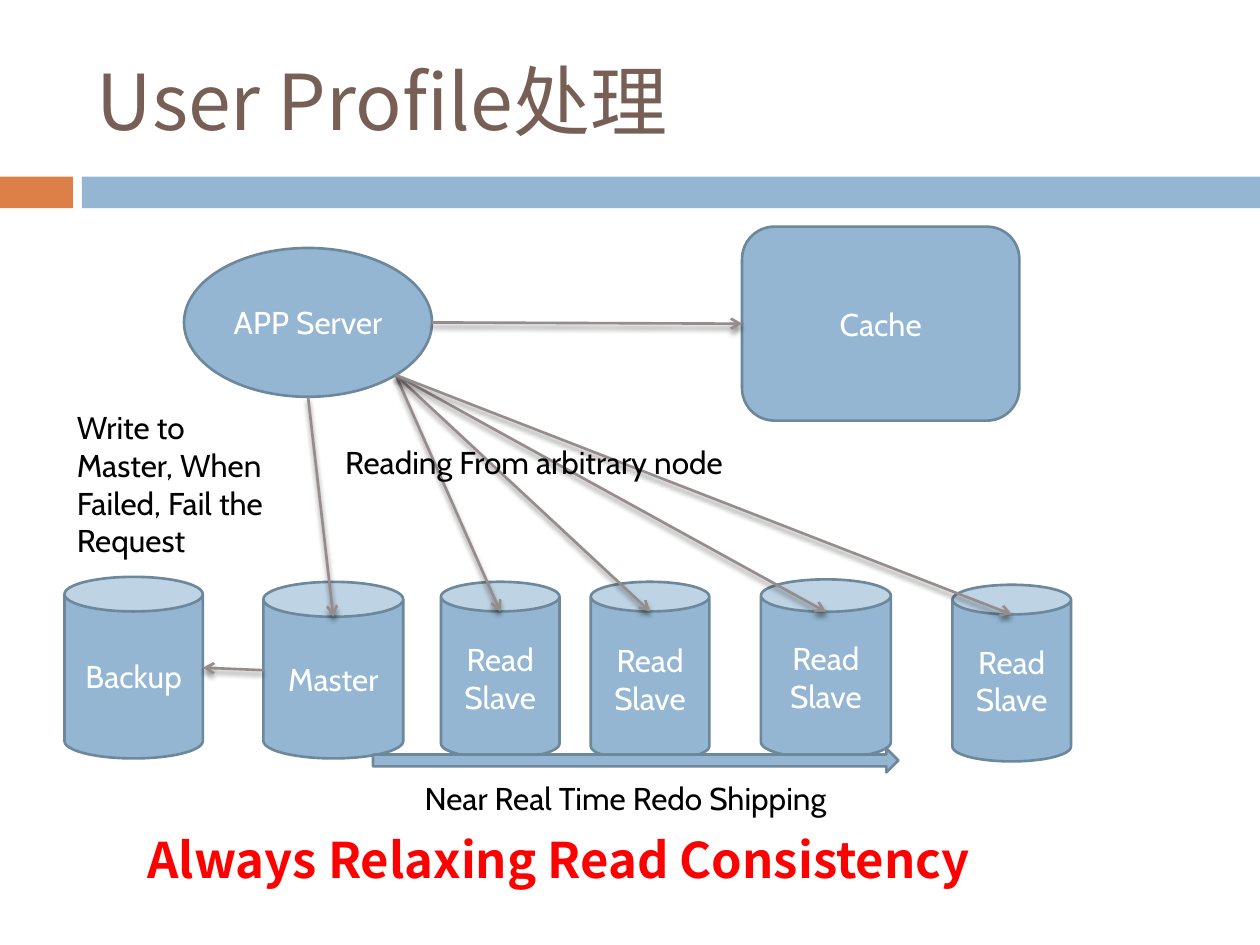
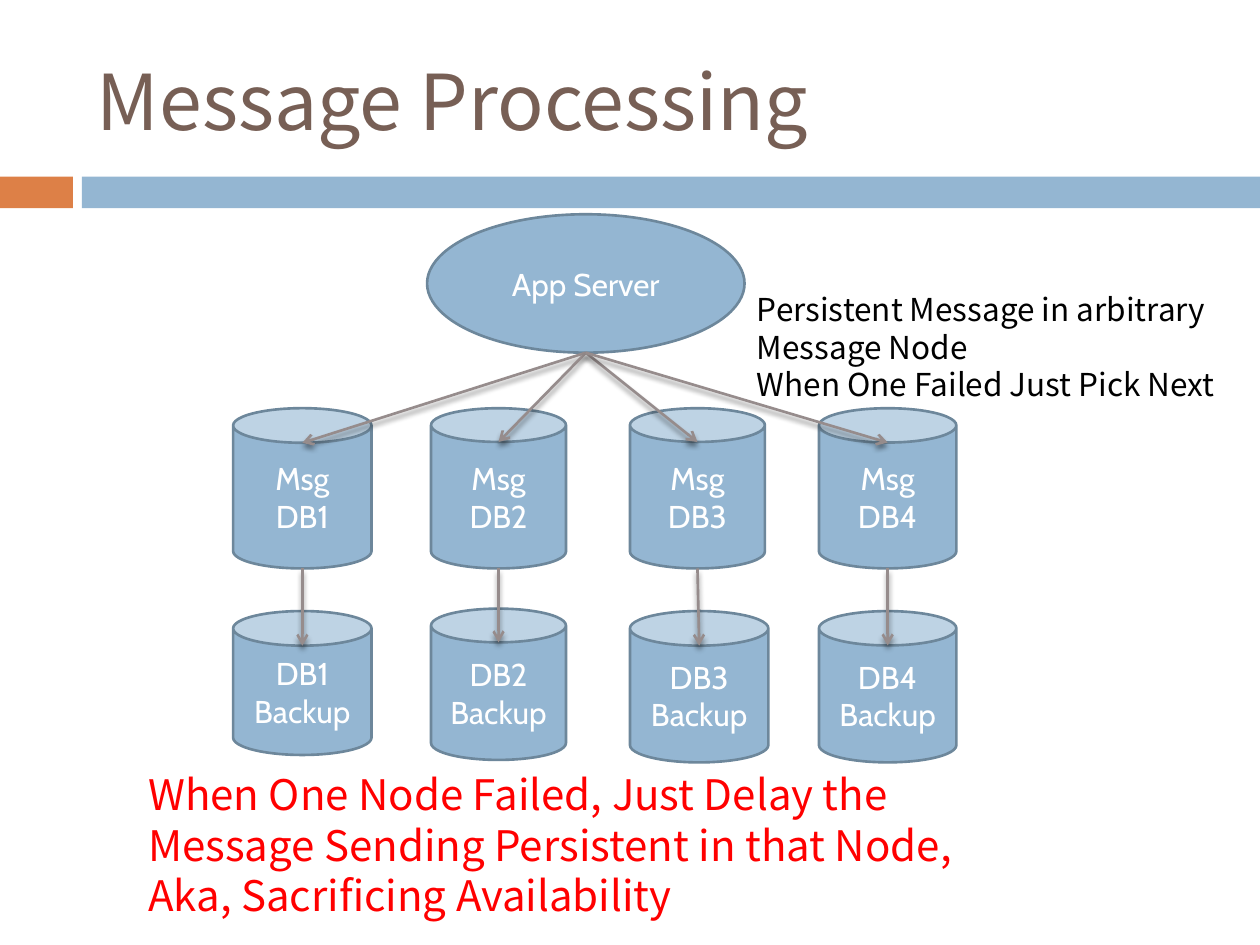
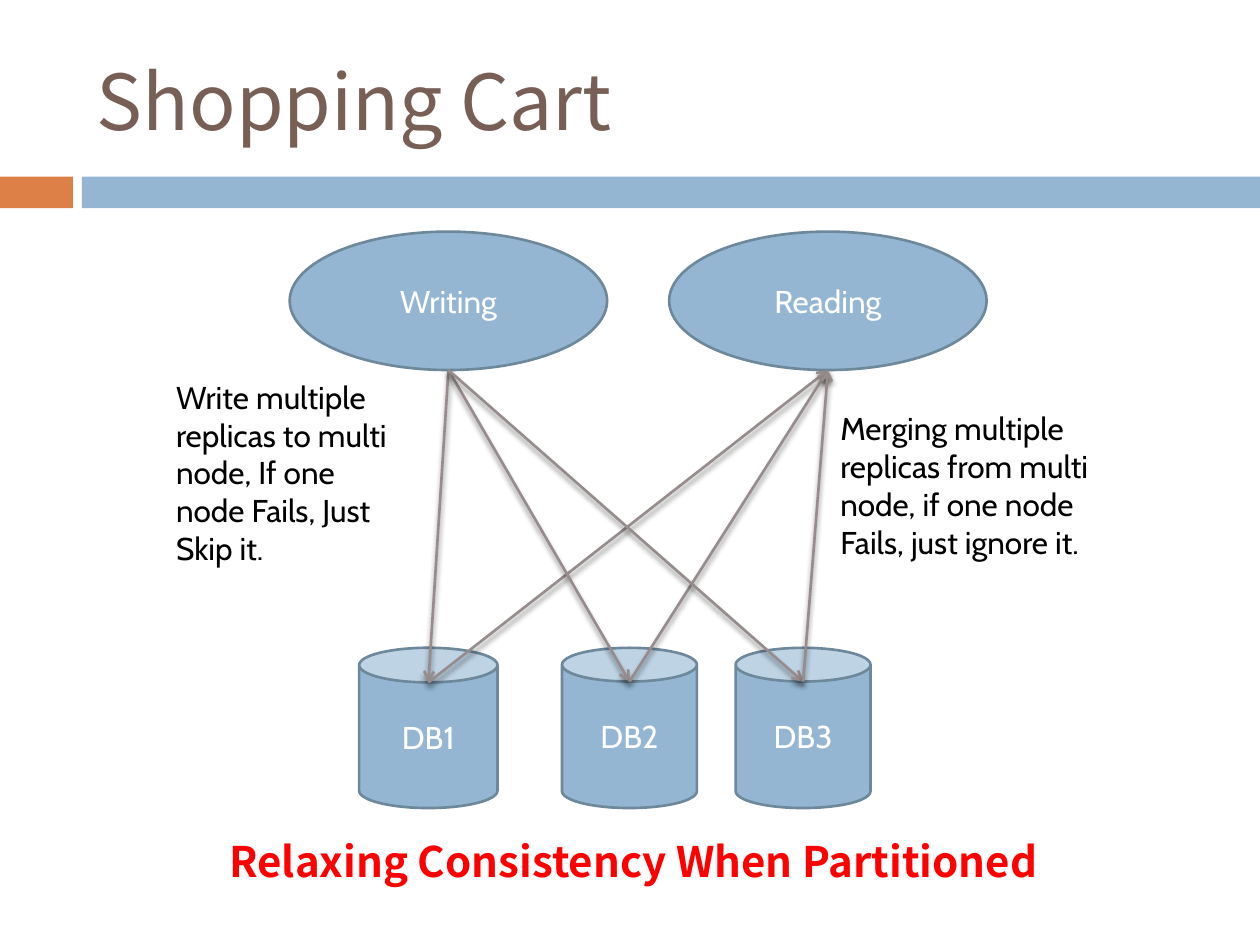
from math import sqrt

from lxml.etree import SubElement
from pptx import Presentation
from pptx.dml.color import RGBColor
from pptx.enum.shapes import MSO_CONNECTOR, MSO_SHAPE
from pptx.enum.text import MSO_ANCHOR, MSO_AUTO_SIZE, PP_ALIGN
from pptx.oxml import parse_xml
from pptx.oxml.ns import nsdecls, qn
from pptx.util import Cm, Pt

COLORS = {
    "title": "775F55",
    "accent": "DD8047",
    "blue": "94B6D2",
    "outline": "6D879B",
    "arrow": "968C8C",
    "white": "FFFFFF",
    "black": "000000",
    "red": "FF0000",
}
LABEL_FONT = "Cabin"
HEADING_FONT = "Noto Sans CJK SC"
TITLE_ONLY, TITLE_AND_CONTENT = 5, 1
SHADOW = (
    f'<a:effectLst {nsdecls("a")}>'
    '<a:outerShdw blurRad="38100" dist="30480" dir="5400000" rotWithShape="0">'
    '<a:srgbClr val="000000"><a:alpha val="45000"/></a:srgbClr>'
    "</a:outerShdw></a:effectLst>"
)


def color(name):
    return RGBColor.from_string(COLORS[name])


# Text
def add_run(paragraph, text, size, font_name, color_name, bold=False):
    run = paragraph.add_run()
    run.text = text
    run.font.size = Pt(size)
    run.font.bold = bold
    run.font.name = font_name
    run.font.color.rgb = color(color_name)
    SubElement(run.font._element, qn("a:ea"), typeface=font_name)


def write_lines(frame, text, size, font_name, color_name, bold=False,
                alignment=PP_ALIGN.LEFT):
    frame.word_wrap = True
    for index, line in enumerate(text.split("\n")):
        paragraph = frame.add_paragraph() if index else frame.paragraphs[0]
        paragraph.alignment = alignment
        add_run(paragraph, line, size, font_name, color_name, bold)


def add_note(slide, text, box, size=18, font_name=LABEL_FONT,
             color_name="black", bold=False):
    note = slide.shapes.add_textbox(*map(Cm, box))
    write_lines(note.text_frame, text, size, font_name, color_name, bold)
    note.text_frame.auto_size = MSO_AUTO_SIZE.SHAPE_TO_FIT_TEXT


def place(placeholder, box):
    placeholder.left, placeholder.top, placeholder.width, placeholder.height = map(Cm, box)
    placeholder.text_frame.auto_size = MSO_AUTO_SIZE.NONE


# Shapes
def add_filled(slide, kind, box, fill="blue"):
    shape = slide.shapes.add_shape(kind, *map(Cm, box))
    shape.shadow.inherit = False
    shape.fill.solid()
    shape.fill.fore_color.rgb = color(fill)
    return shape


def add_node(slide, kind, box, text=""):
    node = add_filled(slide, kind, box)
    node.line.color.rgb = color("outline")
    node.line.width = Pt(1.5)
    if text:
        node.text_frame.vertical_anchor = MSO_ANCHOR.MIDDLE
        write_lines(node.text_frame, text, 18, LABEL_FONT, "white",
                    alignment=PP_ALIGN.CENTER)
    return node


def add_database(slide, box, text):
    return add_node(slide, MSO_SHAPE.CAN, box, text)


def add_ellipse(slide, box, text):
    return add_node(slide, MSO_SHAPE.OVAL, box, text)


# Points where arrows touch a shape
def point(shape, across, down):
    return (int(shape.left + shape.width * across),
            int(shape.top + shape.height * down))


def left(shape):
    return point(shape, 0, 0.5)


def right(shape):
    return point(shape, 1, 0.5)


def bottom(shape):
    return point(shape, 0.5, 1)


def lower_right(ellipse):
    diagonal = (1 + sqrt(0.5)) / 2
    return point(ellipse, diagonal, diagonal)


def lid(database):
    """Front edge of the lid, a quarter of the shorter side below the top."""
    depth = min(database.width, database.height) / 4
    return point(database, 0.5, depth / database.height)


def add_arrow(slide, start, end):
    arrow = slide.shapes.add_connector(MSO_CONNECTOR.STRAIGHT, *start, *end)
    arrow.line.color.rgb = color("arrow")
    arrow.line.width = Pt(1.5)
    properties = arrow.element.spPr
    SubElement(properties.find(qn("a:ln")), qn("a:tailEnd"), type="arrow")
    properties.append(parse_xml(SHADOW))


# Shared frame
def add_slide(presentation, title, layout=TITLE_ONLY):
    slide = presentation.slides.add_slide(presentation.slide_layouts[layout])
    place(slide.shapes.title, (1.7, 0.64, 22.66, 2.74))
    frame = slide.shapes.title.text_frame
    frame.vertical_anchor = MSO_ANCHOR.MIDDLE
    write_lines(frame, title, 44, HEADING_FONT, "title")
    return slide


def add_master_bands(presentation, slide):
    """Draw the bands once and move them to the master."""
    for x, width, fill in ((0, 1.47, "accent"), (1.65, 23.75, "blue")):
        band = add_filled(slide, MSO_SHAPE.RECTANGLE, (x, 3.56, width, 0.64), fill)
        band.line.fill.background()
        presentation.slide_master.shapes.element.insert(2, band.element)


# Slides
def build_user_profile(presentation):
    slide = add_slide(presentation, "User Profile处理")
    add_master_bands(presentation, slide)

    server = add_ellipse(slide, (3.71, 5, 5, 3), "APP Server")
    master = add_database(slide, (5.31, 11.73, 2.82, 3.56), "Master")
    cache = add_node(slide, MSO_SHAPE.ROUNDED_RECTANGLE,
                     (14.96, 4.57, 5.59, 3.91), "Cache")
    backup = add_database(slide, (1.3, 11.63, 2.79, 3.66), "Backup")
    slave_boxes = (
        (8.89, 11.73, 2.39, 3.56),
        (11.91, 11.73, 2.39, 3.61),
        (15.34, 11.68, 2.62, 3.61),
        (19.2, 11.79, 2.39, 3.56),
    )
    slaves = [add_database(slide, box, "Read\nSlave") for box in slave_boxes]
    add_node(slide, MSO_SHAPE.RIGHT_ARROW, (7.52, 15.09, 10.59, 0.48))

    add_arrow(slide, bottom(server), lid(master))
    add_arrow(slide, right(server), left(cache))
    add_arrow(slide, left(master), right(backup))
    for slave in slaves:
        add_arrow(slide, lower_right(server), lid(slave))

    add_note(slide, "Near Real Time Redo Shipping", (8.31, 15.57, 8.99, 1.02))
    add_note(slide, "Write to Master, When Failed, Fail the Request",
             (1.3, 8.1, 4.6, 2.57))
    add_note(slide, "Reading From arbitrary node", (6.71, 8.81, 8.38, 1.02))
    add_note(slide, "Always Relaxing Read Consistency",
             (2.72, 16.59, 18.59, 1.45), 28, HEADING_FONT, "red", bold=True)


def build_message_processing(presentation):
    slide = add_slide(presentation, "Message Processing")
    server = add_ellipse(slide, (8.61, 4.32, 6.4, 2.79), "App Server")

    # Left and width of each database, then the box of its backup
    columns = (
        (4.7, 2.79, (4.7, 12.32, 2.79, 2.9)),
        (8.69, 2.72, (8.69, 12.27, 2.72, 3.05)),
        (12.7, 2.72, (12.7, 12.32, 2.79, 3.05)),
        (16.51, 2.77, (16.51, 12.32, 2.77, 3.05)),
    )
    for number, (x, width, backup_box) in enumerate(columns, 1):
        database = add_database(slide, (x, 8.23, width, 3.23), f"Msg\nDB{number}")
        backup = add_database(slide, backup_box, f"DB{number}\nBackup")
        add_arrow(slide, bottom(server), lid(database))
        add_arrow(slide, bottom(database), lid(backup))

    add_note(slide, "Persistent Message in arbitrary Message Node\n"
             "When One Failed Just Pick Next",
             (15.01, 5.72, 10.39, 2.57), font_name=HEADING_FONT)
    add_note(slide, "When One Node Failed, Just Delay the Message Sending "
             "Persistent in that Node,\nAka, Sacrificing Availability",
             (2.74, 15.37, 18.8, 3.33), 24, HEADING_FONT, "red")


def build_shopping_cart(presentation):
    slide = add_slide(presentation, "Shopping Cart", TITLE_AND_CONTENT)

    # Conclusion in the body placeholder, without a bullet
    body = slide.placeholders[1]
    place(body, (3.35, 16.71, 18.69, 1.4))
    paragraph = body.text_frame.paragraphs[0]
    paragraph.level = 1
    properties = paragraph._p.get_or_add_pPr()
    properties.set("marL", str(Cm(1.02)))
    properties.set("indent", "0")
    SubElement(properties, qn("a:buNone"))
    paragraph.space_before = Pt(0)
    add_run(paragraph, "Relaxing Consistency When Partitioned",
            24, HEADING_FONT, "red", bold=True)

    writing = add_ellipse(slide, (5.84, 4.67, 6.4, 2.79), "Writing")
    reading = add_ellipse(slide, (13.49, 4.67, 6.4, 2.79), "Reading")
    columns = ((7.24, 2.79), (11.33, 2.72), (14.83, 2.72))
    for number, (x, width) in enumerate(columns, 1):
        database = add_database(slide, (x, 13.06, width, 3.23), f"DB{number}")
        add_arrow(slide, bottom(writing), lid(database))
        add_arrow(slide, lid(database), bottom(reading))

    add_note(slide, "Write multiple replicas to multi node, If one node Fails, "
             "Just Skip it.", (3.3, 7.49, 5.16, 3.33))
    add_note(slide, "Merging multiple replicas from multi node, if one node "
             "Fails, just ignore it.", (16.69, 8.13, 5.82, 3.33))


def main():
    presentation = Presentation()
    presentation.slide_width, presentation.slide_height = Cm(25.4), Cm(19.05)
    build_user_profile(presentation)
    build_message_processing(presentation)
    build_shopping_cart(presentation)
    presentation.save("out.pptx")


if __name__ == "__main__":
    main()
